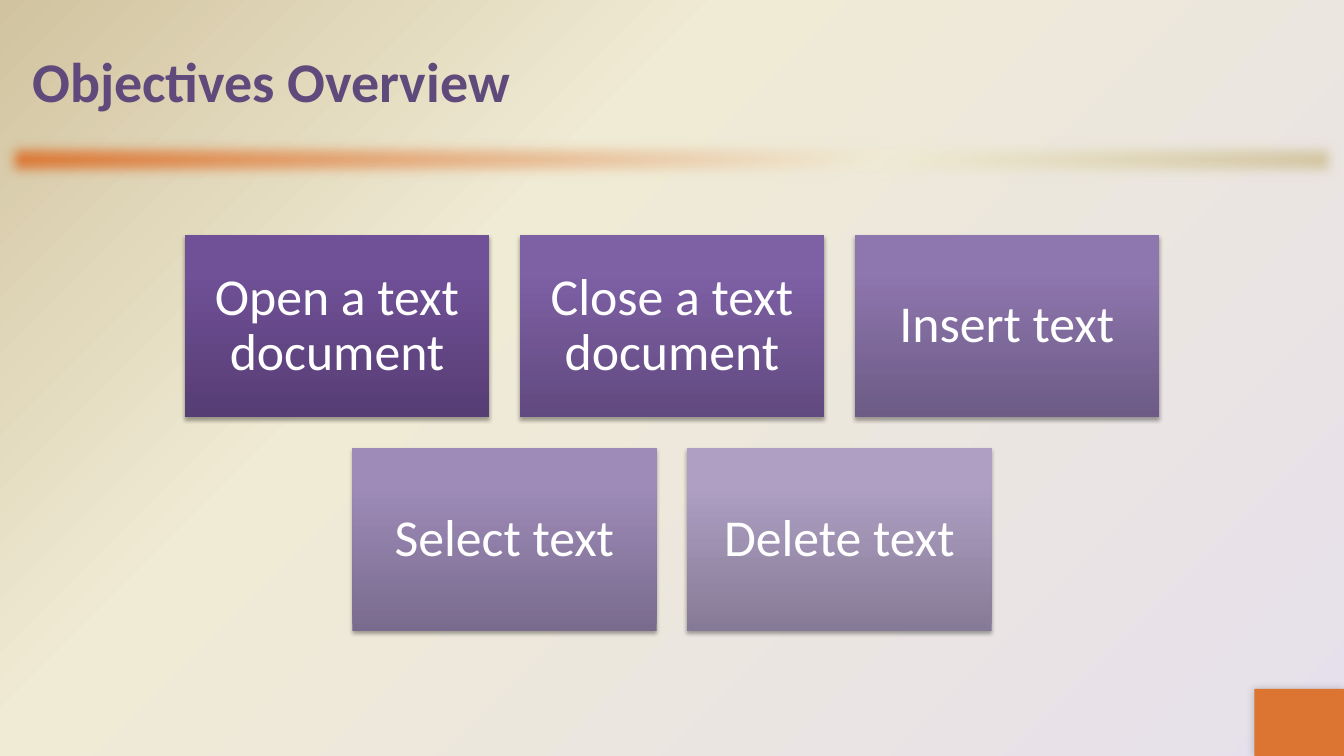
"""Build the Objectives Overview slide with five objective tiles."""
from dataclasses import dataclass

import lxml.etree
import pptx
import pptx.dml.color
import pptx.enum.shapes
import pptx.enum.text
import pptx.oxml
import pptx.oxml.ns
import pptx.util

Cm = pptx.util.Cm
Pt = pptx.util.Pt
qn = pptx.oxml.ns.qn

COLORS = {
    "orange": "DB7531",
    "cream": "F0EBD5",
    "sand": "D1C39F",
    "lavender": "E6E0EC",
    "heading": "604A7B",
    "white": "FFFFFF",
    "black": "000000",
    "tile1_low": "563D74", "tile1_mid": "705097", "tile1_top": "704F99",
    "tile2_low": "614A7F", "tile2_mid": "7E60A5", "tile2_top": "7F60A7",
    "tile3_low": "6D5B86", "tile3_mid": "8E76AE", "tile3_top": "8E75B0",
    "tile4_low": "796B8E", "tile4_mid": "9E8BB8", "tile4_top": "9E8BBA",
    "tile5_low": "867B96", "tile5_mid": "AE9FC3", "tile5_top": "AE9FC4",
}
FONT = "Calibri"
SLIDE_WIDTH, SLIDE_HEIGHT = 33.87, 19.05
TILE_WIDTH, TILE_HEIGHT, TILE_GAP = 7.67, 4.6, 0.77
TILES_TOP = 5.92
TILE_INSET = 0.38


@dataclass(frozen=True)
class Objective:
    """An objective and the prefix of its tile colours."""

    wording: str
    tint: str


@dataclass(frozen=True)
class Shadow:
    """An outer shadow: percent opacity, points and degrees."""

    opacity: int
    blur: float
    distance: float
    angle: int


OBJECTIVE_ROWS = [
    [
        Objective("Open a text document", "tile1"),
        Objective("Close a text document", "tile2"),
        Objective("Insert text", "tile3"),
    ],
    [Objective("Select text", "tile4"), Objective("Delete text", "tile5")],
]
TILE_SHADOW = Shadow(35, 3.1, 1.8, 90)
CORNER_SHADOW = Shadow(20, 6, 0, 225)
LINEAR = '<a:lin ang="{}" scaled="0"/>'
FROM_BOTTOM_RIGHT = '<a:path path="circle"><a:fillToRect l="100000" t="100000"/></a:path>'


def rgb(color: str) -> pptx.dml.color.RGBColor:
    """Look up a named colour."""
    return pptx.dml.color.RGBColor.from_string(COLORS[color])


def set_gradient(
    properties: lxml.etree._Element, middle: int, colors: list[str], direction: str
) -> None:
    """Replace a solid fill by a three-stop gradient."""
    stops = "".join(
        f'<a:gs pos="{position * 1000}"><a:srgbClr val="{COLORS[color]}"/></a:gs>'
        for position, color in zip((0, middle, 100), colors)
    )
    gradient = pptx.oxml.parse_xml(
        f'<a:gradFill {pptx.oxml.ns.nsdecls("a")} rotWithShape="1">'
        f"<a:gsLst>{stops}</a:gsLst>{direction}</a:gradFill>"
    )
    properties.replace(properties.find(qn("a:solidFill")), gradient)


def add_effect(shape, tag: str, **attributes: str) -> lxml.etree._Element:
    """Add an effect to a shape."""
    effects = shape.element.spPr.find(qn("a:effectLst"))
    return lxml.etree.SubElement(effects, qn(tag), attributes)


def add_shadow(shape, shadow: Shadow) -> None:
    """Cast an outer shadow from a shape."""
    outer = add_effect(
        shape, "a:outerShdw",
        blurRad=str(int(Pt(shadow.blur))), dist=str(int(Pt(shadow.distance))),
        dir=str(shadow.angle * 60000), rotWithShape="0",
    )
    tone = lxml.etree.SubElement(outer, qn("a:srgbClr"), val=COLORS["black"])
    lxml.etree.SubElement(tone, qn("a:alpha"), val=str(shadow.opacity * 1000))


def add_rectangle(slide, left: float, top: float, width: float, height: float):
    """Add an orange rectangle without outline or shadow."""
    rectangle = slide.shapes.add_shape(
        pptx.enum.shapes.MSO_SHAPE.RECTANGLE, Cm(left), Cm(top), Cm(width), Cm(height)
    )
    rectangle.shadow.inherit = False
    rectangle.fill.solid()
    rectangle.fill.fore_color.rgb = rgb("orange")
    rectangle.line.fill.background()
    return rectangle


def add_wording(paragraph, wording: str, size: int, color: str, bold: bool = False) -> None:
    """Add a formatted run to a paragraph."""
    run = paragraph.add_run()
    run.text = wording
    run.font.name = FONT
    run.font.size = Pt(size)
    run.font.bold = bold
    run.font.color.rgb = rgb(color)


def add_tile(slide, objective: Objective, left: float, top: float) -> None:
    """Draw one objective tile."""
    tile = add_rectangle(slide, left, top, TILE_WIDTH, TILE_HEIGHT)
    shades = [f"{objective.tint}_{part}" for part in ("low", "mid", "top")]
    set_gradient(tile.element.spPr, 80, shades, LINEAR.format(270 * 60000))
    add_shadow(tile, TILE_SHADOW)
    frame = tile.text_frame
    frame.word_wrap = True
    frame.vertical_anchor = pptx.enum.text.MSO_ANCHOR.MIDDLE
    frame.margin_left = frame.margin_right = Cm(TILE_INSET)
    frame.margin_top = frame.margin_bottom = Cm(TILE_INSET)
    paragraph = frame.paragraphs[0]
    paragraph.alignment = pptx.enum.text.PP_ALIGN.CENTER
    paragraph.line_spacing = 0.9
    add_wording(paragraph, objective.wording, 37, "white")


def add_backdrop(slide) -> None:
    """Draw the background, the soft divider and the corner block."""
    slide.background.fill.solid()
    set_gradient(
        slide.element.find(f".//{qn('p:bgPr')}"), 65,
        ["lavender", "cream", "sand"], FROM_BOTTOM_RIGHT,
    )
    divider = add_rectangle(slide, 0, 3.39, SLIDE_WIDTH, 1.27)
    set_gradient(
        divider.element.spPr, 65, ["orange", "cream", "sand"], LINEAR.format(45 * 60000)
    )
    add_effect(divider, "a:softEdge", rad="127000")
    corner = add_rectangle(slide, SLIDE_WIDTH - 2.26, SLIDE_HEIGHT - 1.69, 2.26, 1.69)
    add_shadow(corner, CORNER_SHADOW)


def add_heading(slide) -> None:
    """Place and format the title."""
    heading = slide.shapes.title
    heading.left, heading.top = Cm(0.56), Cm(0.42)
    heading.width, heading.height = Cm(32.75), Cm(3.18)
    frame = heading.text_frame
    frame.auto_size = pptx.enum.text.MSO_AUTO_SIZE.NONE
    frame.vertical_anchor = pptx.enum.text.MSO_ANCHOR.MIDDLE
    paragraph = frame.paragraphs[0]
    paragraph.alignment = pptx.enum.text.PP_ALIGN.LEFT
    add_wording(paragraph, "Objectives Overview", 40, "heading", bold=True)


def main() -> None:
    """Build and save the presentation."""
    presentation = pptx.Presentation()
    presentation.slide_width = Cm(SLIDE_WIDTH)
    presentation.slide_height = Cm(SLIDE_HEIGHT)
    slide = presentation.slides.add_slide(presentation.slide_layouts[5])
    add_backdrop(slide)
    add_heading(slide)
    for row, objectives in enumerate(OBJECTIVE_ROWS):
        row_width = len(objectives) * (TILE_WIDTH + TILE_GAP) - TILE_GAP
        row_left = (SLIDE_WIDTH - row_width) / 2
        top = TILES_TOP + row * (TILE_HEIGHT + TILE_GAP)
        for column, objective in enumerate(objectives):
            add_tile(slide, objective, row_left + column * (TILE_WIDTH + TILE_GAP), top)
    presentation.save("out.pptx")


if __name__ == "__main__":
    main()
